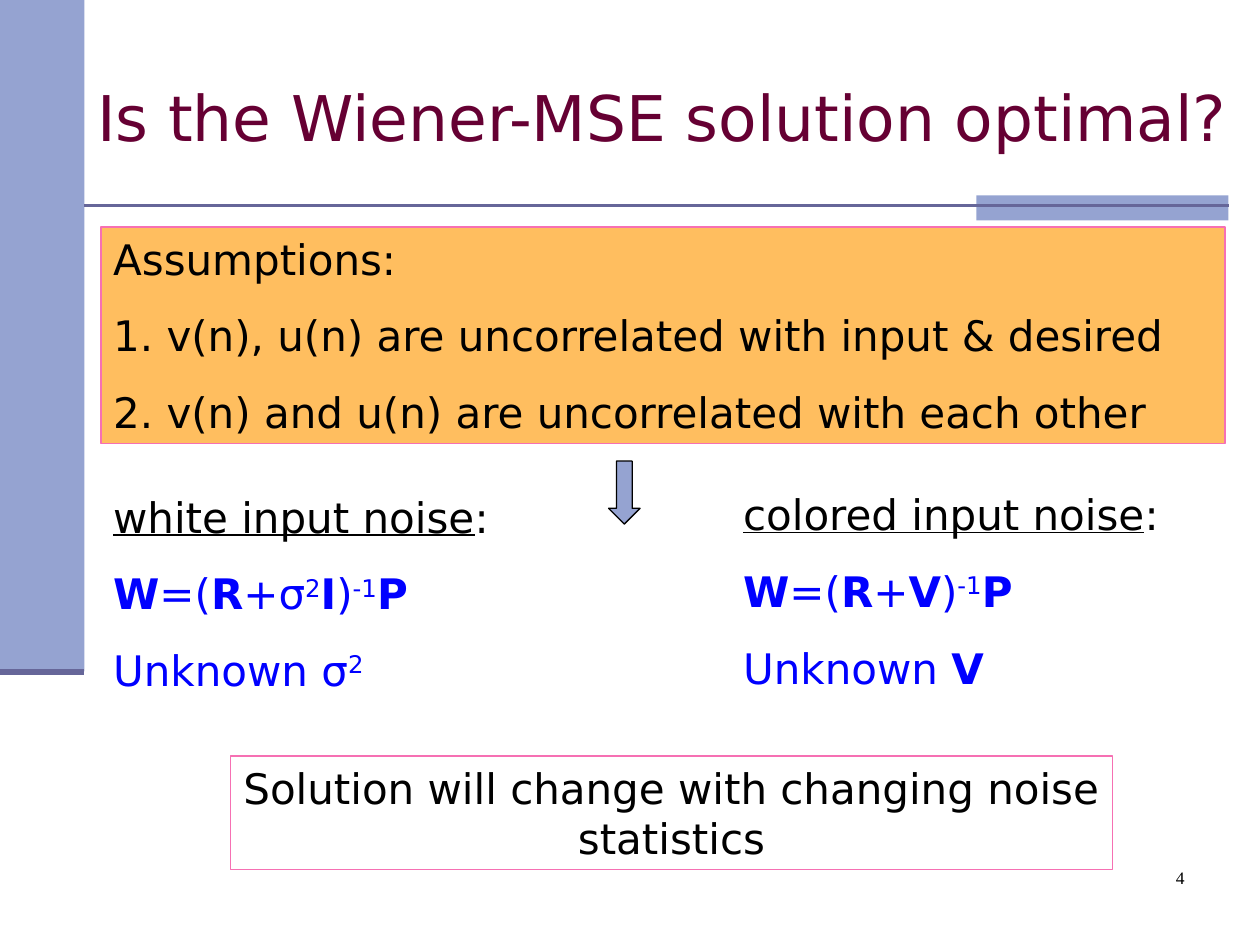
from pptx import Presentation
from pptx.dml.color import RGBColor
from pptx.enum.shapes import MSO_CONNECTOR, MSO_SHAPE
from pptx.enum.text import MSO_ANCHOR, PP_ALIGN
from pptx.oxml.ns import qn
from pptx.util import Pt
from lxml import etree

PX = 9144
RECT, DOWN = MSO_SHAPE.RECTANGLE, MSO_SHAPE.DOWN_ARROW
STRAIGHT = MSO_CONNECTOR.STRAIGHT
TOP, MIDDLE = MSO_ANCHOR.TOP, MSO_ANCHOR.MIDDLE
LEFT, CENTER, RIGHT = PP_ALIGN.LEFT, PP_ALIGN.CENTER, PP_ALIGN.RIGHT
SANS, SERIF = "DejaVu Sans", "Times New Roman"
C = {
    "band": "95A3D1",
    "rule": "666699",
    "title": "660033",
    "text": "000000",
    "formula": "0000FF",
    "panel": "FFBE5F",
    "border": "F670B3",
}


def px(*lengths):
    return [n * PX for n in lengths]


def rgb(name):
    return RGBColor.from_string(C[name])


def format_run(r, size, color, font=SANS, style=""):
    r.font.size = Pt(size)
    r.font.name = font
    r.font.color.rgb = rgb(color)
    r.font.bold = "bold" in style
    r.font.underline = "underline" in style
    if "super" in style:
        r._r.get_or_add_rPr().set("baseline", "30000")


def add_box(s, box, fill=None, line=None, width=1, kind=RECT):
    sp = s.shapes.add_shape(kind, *px(*box))
    sp.shadow.inherit = False
    if fill:
        sp.fill.solid()
        sp.fill.fore_color.rgb = rgb(fill)
    else:
        sp.fill.background()
    if line:
        sp.line.color.rgb = rgb(line)
        sp.line.width = Pt(width)
    else:
        sp.line.fill.background()
    return sp


def add_rule(s, x1, x2, y, width):
    cx = s.shapes.add_connector(STRAIGHT, *px(x1, y, x2, y))
    cx.line.color.rgb = rgb("rule")
    cx.line.width = Pt(width)
    etree.SubElement(cx._element.spPr, qn("a:effectLst"))


def write(sp, lines, align=LEFT, size=24, font=SANS):
    tf = sp.text_frame
    tf.word_wrap = True
    tf.vertical_anchor = TOP
    for i, (color, runs) in enumerate(lines):
        p = tf.paragraphs[0] if i == 0 else tf.add_paragraph()
        p.alignment = align
        p.space_before = Pt(15 if i else 0)
        for text, style in runs:
            r = p.add_run()
            r.text = text
            format_run(r, size, color, font, style)


def plain(*texts):
    return [("text", [(text, "")]) for text in texts]


def add_noise_case(s, x, y, heading, formula, unknown):
    sp = s.shapes.add_textbox(*px(x, y, 403, 233))
    write(sp, [
        ("text", [(heading, "underline"), (":", "")]),
        ("formula", [("W", "bold"), ("=(", ""), ("R", "bold"), *formula,
                     (")", ""), ("-1", "super"), ("P", "bold")]),
        ("formula", unknown),
    ])


def set_title(s, text):
    sp = s.shapes.title
    sp.left, sp.top, sp.width, sp.height = px(67, 30, 958, 125)
    tf = sp.text_frame
    tf.text = text
    tf.word_wrap = True
    tf.vertical_anchor = MIDDLE
    p = tf.paragraphs[0]
    p.alignment = LEFT
    format_run(p.runs[0], 36, "title")


def main():
    prs = Presentation()
    prs.slide_width, prs.slide_height = px(1000, 750)
    s = prs.slides.add_slide(prs.slide_layouts[5])

    add_box(s, (0, 0, 67, 533), "band")
    add_box(s, (775, 155, 200, 20), "band")
    add_rule(s, 67, 975, 163, 1.5)
    add_rule(s, 0, 67, 533, 3.5)
    set_title(s, "Is the Wiener-MSE solution optimal?")

    assumptions = add_box(s, (80, 180, 892, 172), "panel", "border")
    write(assumptions, plain(
        "Assumptions:",
        "1. v(n), u(n) are uncorrelated with input & desired",
        "2. v(n) and u(n) are uncorrelated with each other",
    ))
    add_box(s, (483, 366, 25, 50), "band", "text", 0.75, DOWN)

    add_noise_case(s, 80, 385, "white input noise",
                   [("+σ", ""), ("2", "super"), ("I", "bold")],
                   [("Unknown σ", ""), ("2", "super")])
    add_noise_case(s, 580, 383, "colored input noise",
                   [("+", ""), ("V", "bold")],
                   [("Unknown ", ""), ("V", "bold")])

    conclusion = add_box(s, (183, 600, 700, 90), None, "border", 0.75)
    write(conclusion, plain("Solution will change with changing noise statistics"), CENTER)
    number = s.shapes.add_textbox(*px(742, 683, 208, 50))
    write(number, plain("4"), RIGHT, 10, SERIF)

    prs.save("out.pptx")


if __name__ == "__main__":
    main()
